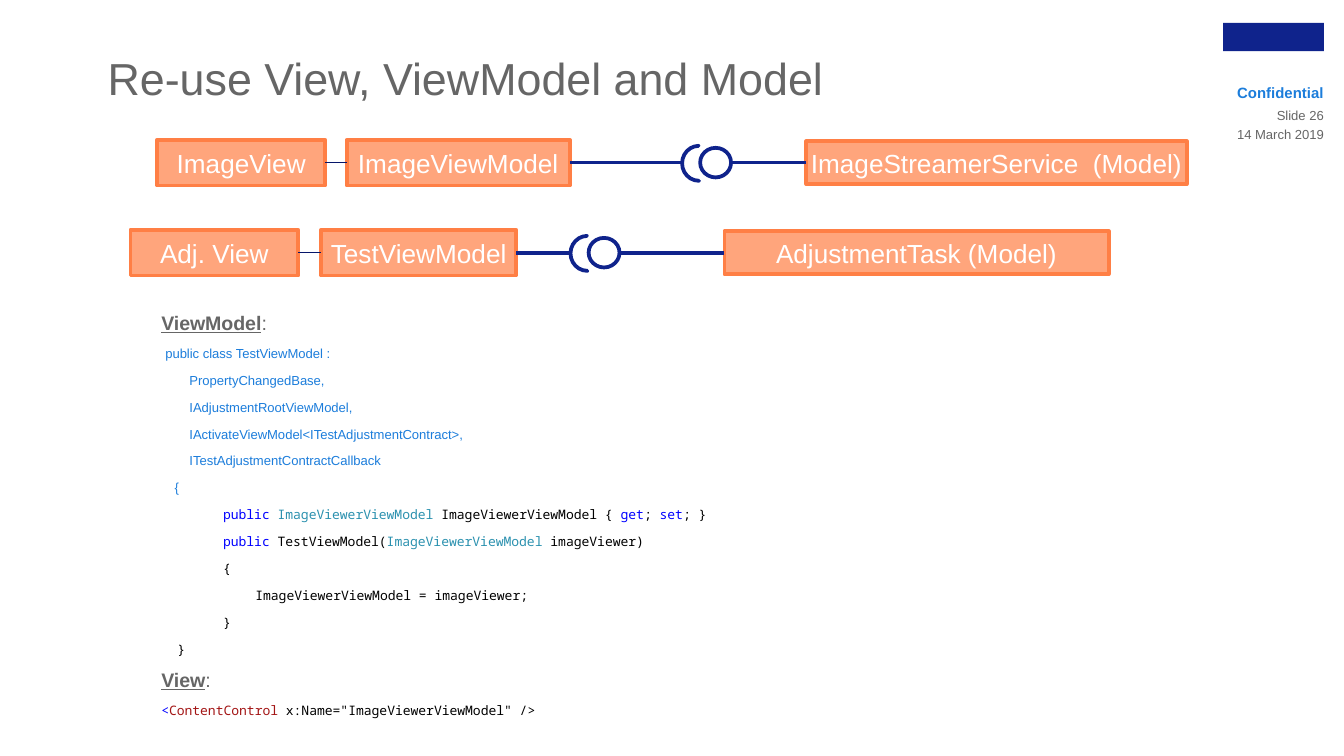
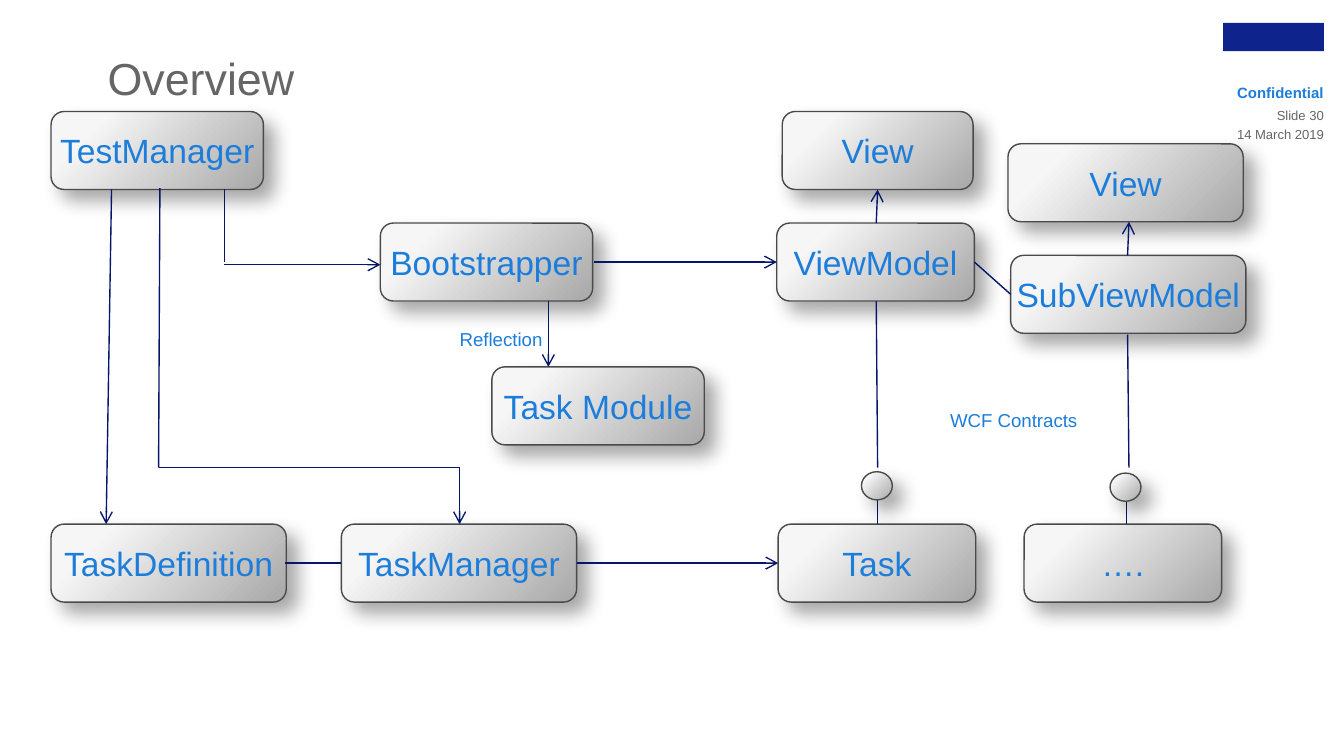
"""Builds two slides on view model re-use and the test framework overview."""
import pptx
import pptx.dml.color
import pptx.enum.shapes
import pptx.enum.text
import pptx.oxml
import pptx.oxml.ns
import pptx.util

Inches = pptx.util.Inches
Pt = pptx.util.Pt
RGB = pptx.dml.color.RGBColor.from_string
SHAPE = pptx.enum.shapes.MSO_SHAPE
ALIGN = pptx.enum.text.PP_ALIGN
ANCHOR = pptx.enum.text.MSO_ANCHOR
qn = pptx.oxml.ns.qn
NS = pptx.oxml.ns.nsdecls("a")

COLORS = {
    "grey": "666666", "blue": "1C7DDB", "navy": "0F238C", "ink": "06166A",
    "orange": "FF7F45", "white": "FFFFFF", "black": "000000", "edge": "4A4A4A",
    "light": "F6F6F6", "dark": "A8A8A8",
    "keyword": "0000FF", "type": "2B91AF", "tag": "A31515",
}
GRADIENT = f"""<a:gradFill {NS} rotWithShape="1"><a:gsLst>
<a:gs pos="20000"><a:srgbClr val="{COLORS['light']}"/></a:gs>
<a:gs pos="100000"><a:srgbClr val="{COLORS['dark']}"/></a:gs></a:gsLst>
<a:path path="circle"><a:fillToRect l="-15000" t="-15000" r="115000" b="115000"/></a:path>
</a:gradFill>"""
SHADOW = f"""<a:outerShdw {NS} blurRad="129540" dist="101600" dir="2700000" algn="tl"
rotWithShape="0"><a:srgbClr val="{COLORS['black']}"><a:alpha val="35000"/></a:srgbClr>
</a:outerShdw>"""


def write(box, text, size=14, color="grey", font="Arial", bold=False, underline=False,
          align=ALIGN.LEFT, anchor=ANCHOR.TOP, wrap=True, after=0, spacing=None,
          indent=0, fresh=True):
    frame = box.text_frame
    frame.margin_left = frame.margin_right = frame.margin_top = frame.margin_bottom = 0
    frame.auto_size = pptx.enum.text.MSO_AUTO_SIZE.NONE
    frame.word_wrap = wrap
    frame.vertical_anchor = anchor
    para = frame.paragraphs[-1]
    if fresh:
        if para.runs:
            para = frame.add_paragraph()
        para.alignment = align
        para.space_before = Pt(0)
        para.space_after = Pt(after)
        para.line_spacing = spacing
        properties = para._p.get_or_add_pPr()
        properties.set("marL", str(Inches(indent)))
        properties.set("indent", "0")
        properties.append(pptx.oxml.parse_xml(f"<a:buNone {NS}/>"))
    span = para.add_run()
    span.text = text
    span.font.name = font
    span.font.size = Pt(size)
    span.font.bold = bold
    span.font.underline = underline
    span.font.color.rgb = RGB(COLORS[color])


def connect(page, start, end, color="ink", width=0.75, arrow=False):
    line = page.shapes.add_connector(pptx.enum.shapes.MSO_CONNECTOR.STRAIGHT,
                                     *map(Inches, start + end))
    line.line.color.rgb = RGB(COLORS[color])
    line.line.width = Pt(width)
    if arrow:
        line.line._get_or_add_ln().append(
            pptx.oxml.parse_xml(f'<a:tailEnd {NS} type="arrow"/>'))
    line._element.spPr.append(pptx.oxml.parse_xml(f"<a:effectLst {NS}/>"))


deck = pptx.Presentation()
deck.slide_width = Inches(10)
deck.slide_height = Pt(405)

pages = []
for layout, title, number in [(1, "Re-use View, ViewModel and Model", 26), (5, "Overview", 30)]:
    page = deck.slides.add_slide(deck.slide_layouts[layout])
    pages.append(page)
    heading = page.shapes.title
    heading.left, heading.top, heading.width, heading.height = map(
        Inches, (0.8, 0.38, 8.06, 0.61))
    write(heading, title, size=24, spacing=1.0)
    badge = page.shapes.add_shape(SHAPE.RECTANGLE, *map(Inches, (9.1, 0.17, 0.75, 0.21)))
    badge.shadow.inherit = False
    badge.fill.solid()
    badge.fill.fore_color.rgb = RGB(COLORS["navy"])
    badge.line.fill.background()
    for top, text, size, color in [(0.62, "Confidential", 8, "blue"),
                                   (0.8, f"Slide {number}", 7, "grey"),
                                   (0.94, "14 March 2019", 7, "grey")]:
        label = page.shapes.add_textbox(*map(Inches, (9.02, top, 0.83, 0.1)))
        write(label, text, size=size, color=color, bold=color == "blue", align=ALIGN.RIGHT)

reuse, overview = pages

chains = [
    (1.04, 5.21, [("ImageView", 1.17, 1.25), ("ImageViewModel", 2.58, 1.66),
                  ("ImageStreamerService  (Model)", 6, 2.83)]),
    (1.71, 4.38, [("Adj. View", 0.97, 1.25), ("TestViewModel", 2.39, 1.45),
                  ("AdjustmentTask (Model)", 5.39, 2.86)]),
]
for top, ring_left, parts in chains:
    for index, (text, left, width) in enumerate(parts):
        inset = 0.01 if index == 2 else 0
        box = reuse.shapes.add_shape(
            SHAPE.RECTANGLE, *map(Inches, (left, top + inset, width, 0.34 - 2 * inset)))
        box.shadow.inherit = False
        box.fill.solid()
        box.fill.fore_color.rgb = RGB(COLORS["orange"])
        tint = box._element.spPr.find(qn("a:solidFill"))[0]
        tint.append(pptx.oxml.parse_xml(f'<a:alpha {NS} val="70000"/>'))
        box.line.color.rgb = RGB(COLORS["orange"])
        box.line.width = Pt(2)
        write(box, text, color="white", align=ALIGN.CENTER, anchor=ANCHOR.MIDDLE)

    ring = reuse.shapes.add_shape(SHAPE.FLOWCHART_CONNECTOR,
                                  *map(Inches, (ring_left, top + 0.06, 0.23, 0.22)))
    socket = reuse.shapes.add_shape(SHAPE.BLOCK_ARC,
                                    *map(Inches, (ring_left - 0.14, top + 0.05, 0.26, 0.25)))
    socket.rotation = 270
    for index, value in enumerate((108, 215.16, 0)):
        socket.adjustments[index] = value
    for part in (ring, socket):
        part.shadow.inherit = False
        part.fill.solid()
        part.fill.fore_color.rgb = RGB(COLORS["white"])
        part.line.color.rgb = RGB(COLORS["navy"])
        part.line.width = Pt(2)

    middle = top + 0.17
    view, view_model, model = [(left, left + width) for _, left, width in parts]
    connect(reuse, (view[1], middle), (view_model[0], middle))
    connect(reuse, (view_model[1], middle), (ring_left - 0.14, middle), "navy", 2)
    connect(reuse, (ring_left + 0.23, middle), (model[0], middle), "navy", 2)

listing = reuse.placeholders[1]
listing.left, listing.top, listing.width, listing.height = map(Inches, (1.2, 2.31, 7.66, 2.92))
MONO = "Noto Sans Mono"
sections = [
    ("ViewModel", [
        (0.03, "Arial", [("public class TestViewModel :", "blue")]),
        (0.21, "Arial", [("PropertyChangedBase,", "blue")]),
        (0.21, "Arial", [("IAdjustmentRootViewModel,", "blue")]),
        (0.21, "Arial", [("IActivateViewModel<ITestAdjustmentContract>,", "blue")]),
        (0.21, "Arial", [("ITestAdjustmentContractCallback", "blue")]),
        (0.1, "Arial", [("{", "blue")]),
        (0.46, MONO, [("public ", "keyword"), ("ImageViewerViewModel ", "type"),
                      ("ImageViewerViewModel { ", "black"), ("get", "keyword"),
                      ("; ", "black"), ("set", "keyword"), ("; }", "black")]),
        (0.46, MONO, [("public ", "keyword"), ("TestViewModel(", "black"),
                      ("ImageViewerViewModel ", "type"), ("imageViewer)", "black")]),
        (0.46, MONO, [("{", "black")]),
        (0.7, MONO, [("ImageViewerViewModel = imageViewer;", "black")]),
        (0.46, MONO, [("}", "black")]),
        (0.12, MONO, [("}", "black")]),
    ]),
    ("View", [
        (0, MONO, [("<", "keyword"), ("ContentControl", "tag"),
                   (' x:Name="ImageViewerViewModel" />', "black")]),
    ]),
]
for name, code in sections:
    write(listing, name, size=10.5, bold=True, underline=True, after=6, spacing=Pt(12.7))
    write(listing, ":", size=10.5, fresh=False)
    for indent, font, spans in code:
        for index, (text, color) in enumerate(spans):
            write(listing, text, size=7, color=color, font=font, after=6,
                  spacing=Pt(8.4), indent=indent, fresh=index == 0)

nodes = [
    ("ViewModel", 5.78, 1.66, 1.47), ("View", 5.82, 0.83, 1.42),
    ("Bootstrapper", 2.83, 1.66, 1.58), ("Task Module", 3.66, 2.73, 1.58),
    ("Task", 5.79, 3.9, 1.47), ("….", 7.62, 3.9, 1.47),
    ("TaskDefinition", 0.38, 3.9, 1.75), ("TaskManager", 2.54, 3.9, 1.75),
    ("TestManager", 0.38, 0.83, 1.58),
    ("SubViewModel", 7.52, 1.9, 1.75), ("View", 7.5, 1.07, 1.75),
]
arrows = [
    ((0.83, 1.41), (0.79, 3.9)), ((3.42, 3.48), (3.42, 3.9)), ((4.29, 4.19), (5.79, 4.19)),
    ((1.67, 1.97), (2.83, 1.97)), ((4.08, 2.24), (4.08, 2.73)), ((4.42, 1.95), (5.78, 1.95)),
    ((6.52, 1.66), (6.53, 1.41)), ((8.39, 1.9), (8.4, 1.65)),
]
links = [
    ((1.19, 1.4), (1.18, 3.48)), ((1.18, 3.48), (3.42, 3.48)), ((1.67, 1.95), (1.67, 1.41)),
    ((7.25, 1.95), (7.52, 2.19)), ((6.53, 3.9), (6.53, 3.69)), ((8.38, 3.9), (8.38, 3.69)),
    ((8.39, 2.49), (8.4, 3.48)), ((6.52, 2.24), (6.53, 3.48)), ((2.12, 4.19), (2.54, 4.19)),
]
raised = []
for text, left, top, width in nodes:
    node = overview.shapes.add_shape(SHAPE.ROUNDED_RECTANGLE,
                                     *map(Inches, (left, top, width, 0.58)))
    write(node, text, size=18, color="blue", align=ALIGN.CENTER, anchor=ANCHOR.MIDDLE, after=6)
    raised.append(node)
for lines, arrow in ((arrows, True), (links, False)):
    for start, end in lines:
        connect(overview, start, end, arrow=arrow)
for left, top in ((6.41, 3.51), (8.26, 3.52)):
    raised.append(overview.shapes.add_shape(SHAPE.OVAL, *map(Inches, (left, top, 0.23, 0.21))))
for shape in raised:
    shape.line.color.rgb = RGB(COLORS["edge"])
    shape.line.width = Pt(0.75)
    shape.shadow.inherit = False
    properties = shape._element.spPr
    properties.find(qn("a:prstGeom")).addnext(pptx.oxml.parse_xml(GRADIENT))
    properties.find(qn("a:effectLst")).append(pptx.oxml.parse_xml(SHADOW))

for text, left, top, width in [("Reflection", 3.42, 2.44, 0.62),
                               ("WCF Contracts", 7.07, 3.04, 0.96)]:
    caption = overview.shapes.add_textbox(*map(Inches, (left, top, width, 0.17)))
    write(caption, text, size=10, color="blue", wrap=False, after=9)

deck.save("out.pptx")
